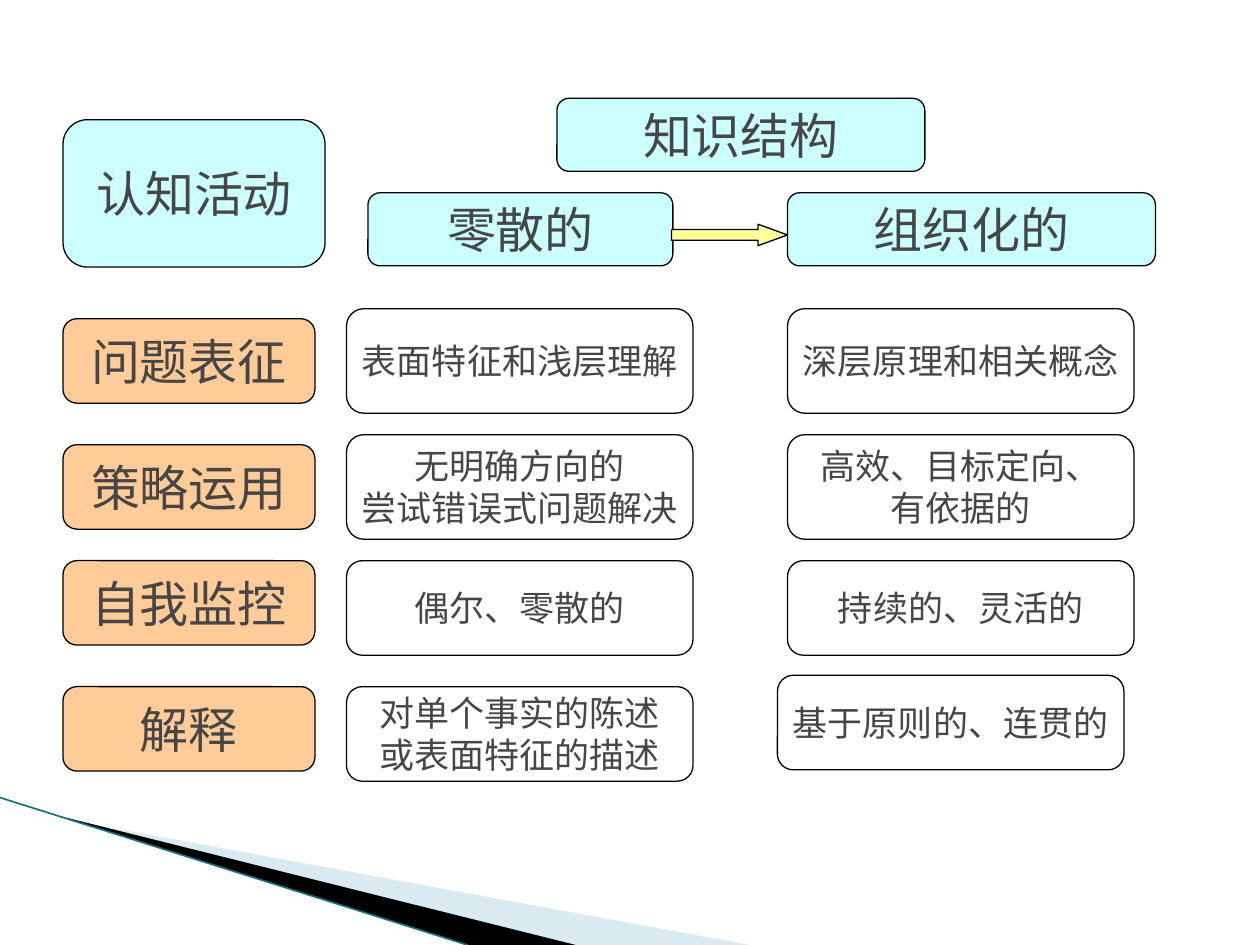
"""Build a slide comparing scattered and organised knowledge structures."""
import pptx
import pptx.dml.color
import pptx.enum.shapes
import pptx.enum.text
import pptx.util
from lxml import etree
from pptx.oxml.ns import qn

Inches, Pt = pptx.util.Inches, pptx.util.Pt
RGBColor = pptx.dml.color.RGBColor
SHAPE = pptx.enum.shapes.MSO_SHAPE

BLACK = RGBColor(0x00, 0x00, 0x00)
WHITE = RGBColor(0xFF, 0xFF, 0xFF)
AQUA = RGBColor(0xCC, 0xFF, 0xFF)
PEACH = RGBColor(0xFF, 0xCC, 0x99)
YELLOW = RGBColor(0xFF, 0xFF, 0x99)
TEXT_GREY = RGBColor(0x46, 0x46, 0x46)
PALE_BLUE = RGBColor(0xA0, 0xCB, 0xDC)
TEAL = RGBColor(0x17, 0x70, 0x82)

HEADERS = [
    ("认知活动", (0.5, 0.95, 2.08, 1.17)),
    ("知识结构", (4.42, 0.78, 2.92, 0.58)),
    ("零散的", (2.92, 1.53, 2.42, 0.58)),
    ("组织化的", (6.25, 1.53, 2.92, 0.58)),
]
ACTIVITIES = [
    ("问题表征", 2.53, "表面特征和浅层理解", "深层原理和相关概念"),
    ("策略运用", 3.53, "无明确方向的\n尝试错误式问题解决", "高效、目标定向、\n有依据的"),
    ("自我监控", 4.45, "偶尔、零散的", "持续的、灵活的"),
    ("解释", 5.45, "对单个事实的陈述\n或表面特征的描述", "基于原则的、连贯的"),
]
ROW_TOP, ROW_PITCH = 2.45, 1
ROW_HEIGHTS = [0.83, 0.83, 0.75, 0.75]
LABEL_LEFT, LABEL_WIDTH, LABEL_HEIGHT = 0.5, 2, 0.67
SCATTERED_LEFT, ORGANISED_LEFT, DETAIL_WIDTH = 2.75, 6.25, 2.75
LAST_ORGANISED = (6.17, 5.36)
ARROW_BOX = (5.33, 1.78, 0.92, 0.17)
WEDGES = [
    ([(0.55, 6.51), (5.95, 7.5), (4.56, 7.5), (0.55, 6.5)], PALE_BLUE, 40),
    ([(0.53, 6.49), (4.57, 7.5), (3.72, 7.5), (0.54, 6.5)], BLACK, 100),
]
EDGE = (0, 6.33, 3.71, 7.5)
HEADING_FONT = {"name": "Arial", "size": Pt(28)}
DETAIL_FONT = {"name": "Arial", "size": Pt(20)}


def inches(values):
    return [Inches(value) for value in values]


def add_wedge(slide, points, color, opacity):
    corners = [inches(point) for point in points]
    builder = slide.shapes.build_freeform(*corners[0], scale=1.0)
    builder.add_line_segments(corners[1:], close=True)
    wedge = builder.convert_to_shape()
    wedge.shadow.inherit = False
    wedge.fill.solid()
    wedge.fill.fore_color.rgb = color
    wedge.line.fill.background()
    if opacity < 100:
        color_element = wedge.fill._xPr.find(qn("a:solidFill"))[0]
        etree.SubElement(color_element, qn("a:alpha"), val=str(opacity * 1000))


def add_edge(slide):
    straight = pptx.enum.shapes.MSO_CONNECTOR.STRAIGHT
    edge = slide.shapes.add_connector(straight, *inches(EDGE))
    edge.line.color.rgb = TEAL
    edge.line.width = Pt(0.95)
    etree.SubElement(edge._element.spPr, qn("a:effectLst"))


def add_outlined(slide, kind, box, color):
    shape = slide.shapes.add_shape(kind, *inches(box))
    shape.shadow.inherit = False
    shape.fill.solid()
    shape.fill.fore_color.rgb = color
    shape.line.color.rgb = BLACK
    shape.line.width = Pt(0.75)
    return shape


def add_box(slide, text, box, color, font_format):
    frame = add_outlined(slide, SHAPE.ROUNDED_RECTANGLE, box, color).text_frame
    frame.text = text
    frame.word_wrap = False
    frame.vertical_anchor = pptx.enum.text.MSO_ANCHOR.MIDDLE
    for paragraph in frame.paragraphs:
        paragraph.alignment = pptx.enum.text.PP_ALIGN.CENTER
        for run in paragraph.runs:
            run.font.color.rgb = TEXT_GREY
            for name, value in font_format.items():
                setattr(run.font, name, value)


presentation = pptx.Presentation()
presentation.slide_width, presentation.slide_height = inches((10, 7.5))
slide = presentation.slides.add_slide(presentation.slide_layouts[6])

for wedge_values in WEDGES:
    add_wedge(slide, *wedge_values)
add_edge(slide)

for heading, box in HEADERS:
    add_box(slide, heading, box, AQUA, HEADING_FONT)
arrow = add_outlined(slide, SHAPE.RIGHT_ARROW, ARROW_BOX, YELLOW)
arrow.adjustments[1] = 1.375

for row, (activity, label_top, scattered, organised) in enumerate(ACTIVITIES):
    label_box = (LABEL_LEFT, label_top, LABEL_WIDTH, LABEL_HEIGHT)
    add_box(slide, activity, label_box, PEACH, HEADING_FONT)
    top = ROW_TOP + row * ROW_PITCH
    is_last = row == len(ACTIVITIES) - 1
    organised_at = LAST_ORGANISED if is_last else (ORGANISED_LEFT, top)
    for text, position in ((scattered, (SCATTERED_LEFT, top)), (organised, organised_at)):
        detail_box = (*position, DETAIL_WIDTH, ROW_HEIGHTS[row])
        add_box(slide, text, detail_box, WHITE, DETAIL_FONT)

presentation.save("out.pptx")
